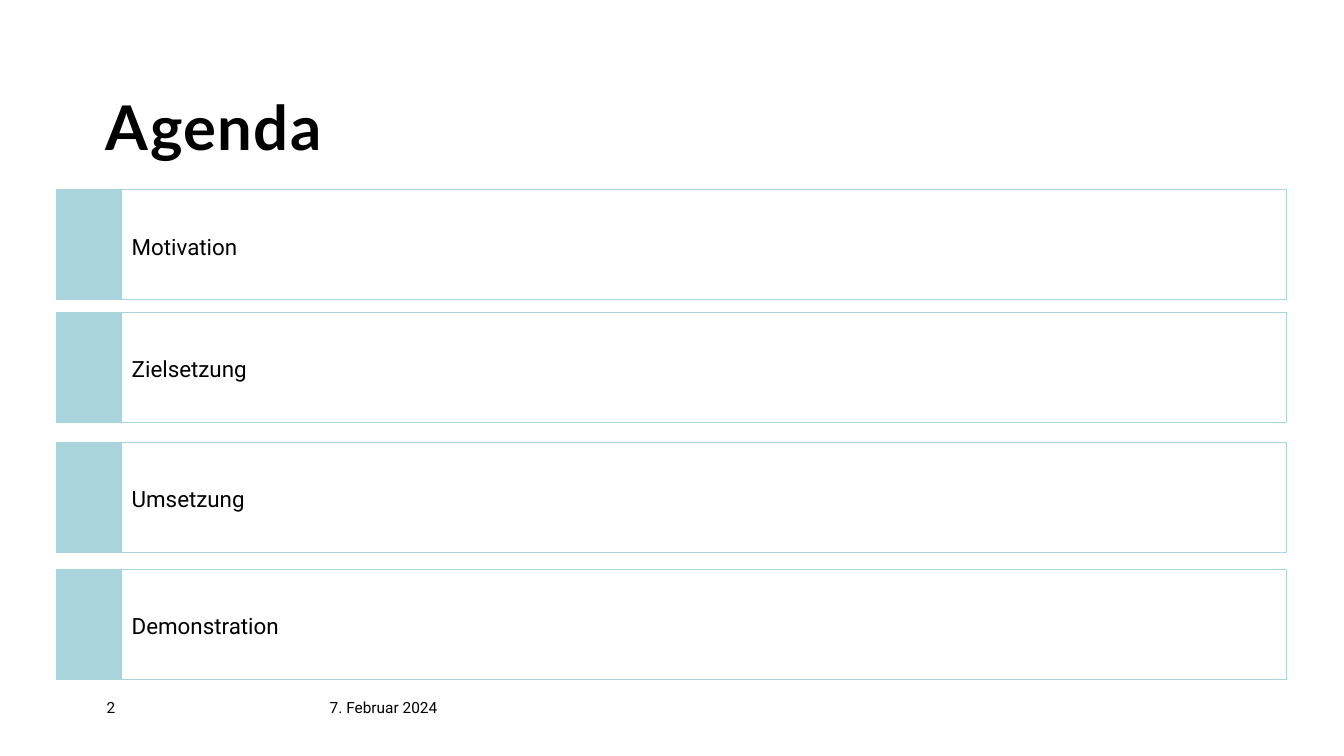
from pptx import Presentation
from pptx.dml.color import RGBColor
from pptx.enum.shapes import MSO_SHAPE as Shape
from pptx.enum.text import MSO_ANCHOR as Anchor, MSO_AUTO_SIZE as AutoSize, PP_ALIGN as Align
from pptx.util import Cm, Pt

BLACK = "000000"
WHITE = "FFFFFF"
TEAL = "A9D4DB"
AGENDA = [("Motivation", 4.78), ("Zielsetzung", 7.87), ("Umsetzung", 11.15), ("Demonstration", 14.35)]
ROW_HEIGHT = 2.77


def color(value):
    return RGBColor.from_string(value)


def set_margins(frame, left, top, right, bottom):
    frame.margin_left, frame.margin_top = Cm(left), Cm(top)
    frame.margin_right, frame.margin_bottom = Cm(right), Cm(bottom)


def add_run(paragraph, text, size, font="Roboto", bold=False):
    paragraph.alignment = Align.LEFT
    run = paragraph.add_run()
    run.text = text
    run.font.name = font
    run.font.size = Pt(size)
    run.font.bold = bold
    run.font.color.rgb = color(BLACK)
    return run


def format_title(slide, text):
    title = slide.shapes.title
    title.left, title.top, title.width, title.height = Cm(2.67), Cm(2.44), Cm(13.72), Cm(1.7)
    frame = title.text_frame
    frame.auto_size = AutoSize.NONE
    frame.vertical_anchor = Anchor.BOTTOM
    set_margins(frame, 0, 0, 0, 0)
    paragraph = frame.paragraphs[0]
    paragraph.line_spacing = 0.9
    run = add_run(paragraph, text, 44, "Lato", True)
    run.font._element.set("spc", "100")


def add_rectangle(slide, left, top, width, fill):
    shape = slide.shapes.add_shape(Shape.RECTANGLE, Cm(left), Cm(top), Cm(width), Cm(ROW_HEIGHT))
    shape.shadow.inherit = False
    shape.fill.solid()
    shape.fill.fore_color.rgb = color(fill)
    shape.line.color.rgb = color(TEAL)
    shape.line.width = Pt(0.75)
    return shape


def add_agenda_row(slide, text, top):
    row = add_rectangle(slide, 3.07, top, 29.36, WHITE)
    frame = row.text_frame
    frame.word_wrap = True
    frame.vertical_anchor = Anchor.MIDDLE
    set_margins(frame, 0.25, 0.33, 0.25, 0.25)
    add_run(frame.paragraphs[0], text, 16)
    add_rectangle(slide, 1.43, top, 1.63, TEAL)


def add_footer_text(slide, text, left, width):
    box = slide.shapes.add_textbox(Cm(left), Cm(17.58), Cm(width), Cm(0.69))
    frame = box.text_frame
    frame.word_wrap = True
    set_margins(frame, 0, 0, 0, 0)
    add_run(frame.paragraphs[0], text, 11)


def main():
    presentation = Presentation()
    presentation.slide_width = Cm(33.87)
    presentation.slide_height = Cm(19.05)
    slide = presentation.slides.add_slide(presentation.slide_layouts[5])
    format_title(slide, "Agenda")
    for text, top in AGENDA:
        add_agenda_row(slide, text, top)
    add_footer_text(slide, "2", 2.69, 1.45)
    add_footer_text(slide, "7. Februar 2024", 8.31, 3.66)
    presentation.save("out.pptx")


if __name__ == "__main__":
    main()
